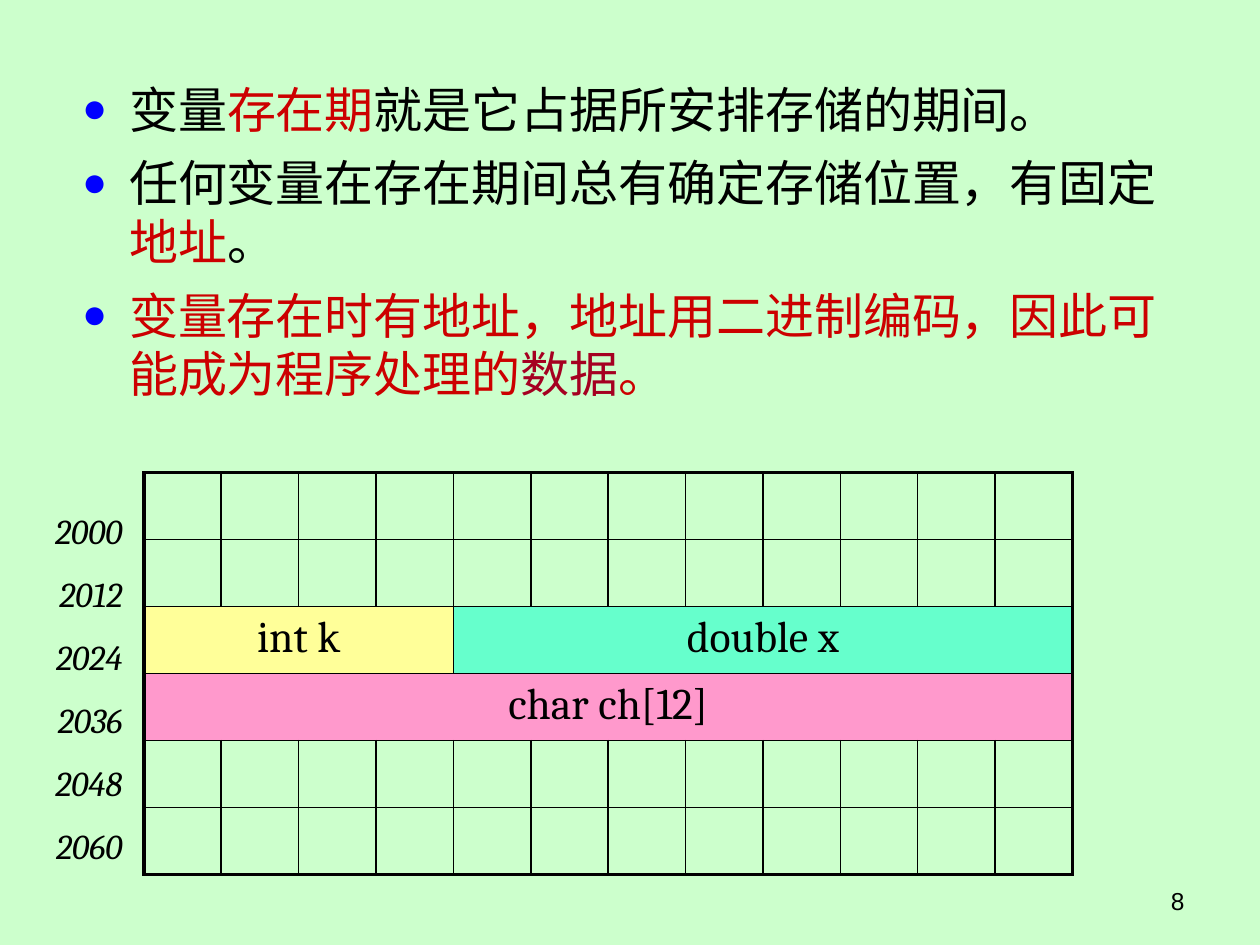
from lxml.etree import SubElement as Sub
from pptx import Presentation
from pptx.dml.color import RGBColor as Rgb
from pptx.enum.text import MSO_AUTO_SIZE as Auto, PP_ALIGN as Align
from pptx.oxml.ns import qn
from pptx.util import Cm, Pt

HUE = {"back": "CCFFCC", "ink": "000000", "red": "CC0000", "wine": "A50021",
       "dot": "0000FF", "int": "FFFF99", "double": "66FFCC", "char": "FF99CC"}
FONT = "Cambria"

POINTS = [
    [("变量", "ink"), ("存在期", "red"), ("就是它占据所安排存储的期间。", "ink")],
    [("任何变量在存在期间总有确定存储位置，有固定", "ink"), ("地址", "red"), ("。", "ink")],
    [("变量存在时有地址，地址用二进制编码，因此可能成为程序处理的", "red"),
     ("数据", "wine"), ("。", "red")],
]
ROWS, COLS = 6, 12
START = 2000
# text, row, first column, bytes, colour
VARS = [("int k", 2, 0, 4, "int"), ("double x", 2, 4, 8, "double"),
        ("char ch[12]", 3, 0, 12, "char")]
PAGE = "8"


def color(key):
    return Rgb.from_string(HUE[key])


def add_run(para, text, size, key="ink", font=FONT, italic=False):
    run = para.add_run()
    run.text = text
    run.font.size, run.font.name = Pt(size), font
    run.font.italic = italic
    run.font.color.rgb = color(key)


def add_box(slide, left, top, width, height):
    frame = slide.shapes.add_textbox(Cm(left), Cm(top), Cm(width), Cm(height)).text_frame
    frame.word_wrap = True
    return frame


def add_para(frame, index):
    return frame.add_paragraph() if index else frame.paragraphs[0]


def add_dot(para):
    """Give a paragraph a hanging indent and a round bullet."""
    props = para._p.get_or_add_pPr()
    props.set("marL", str(Cm(0.95)))
    props.set("indent", str(-Cm(0.95)))
    Sub(Sub(props, qn("a:buClr")), qn("a:srgbClr"), val=HUE["dot"])
    Sub(props, qn("a:buSzPct"), val="85000")
    Sub(props, qn("a:buFont"), typeface="Arial")
    Sub(props, qn("a:buChar"), char="●")


def add_lines(cell, row, col):
    """Draw cell borders, thick on the rim of the table."""
    rim = {"L": col == 0, "R": col == COLS - 1, "T": row == 0, "B": row == ROWS - 1}
    for side, thick in rim.items():
        line = Sub(cell._tc.get_or_add_tcPr(), qn("a:ln" + side),
                   w=str(Pt(2.25 if thick else 1)))
        Sub(Sub(line, qn("a:solidFill")), qn("a:srgbClr"), val=HUE["ink"])


def fill_body(slide):
    body = slide.placeholders[1]
    body.left, body.top, body.width, body.height = Cm(1.4), Cm(1.47), Cm(22.6), Cm(15)
    frame = body.text_frame
    frame.auto_size = Auto.NONE
    for i, parts in enumerate(POINTS):
        para = add_para(frame, i)
        para.space_before = Pt(8.4 if i else 0)
        add_dot(para)
        for text, key in parts:
            add_run(para, text, 28, key)


def add_memory(slide):
    wide, high = Cm(1.56), Cm(1.35)
    table = slide.shapes.add_table(ROWS, COLS, Cm(2.9), Cm(9.53),
                                   wide * COLS, high * ROWS).table
    table.first_row = table.horz_banding = False
    for col in table.columns:
        col.width = wide
    for r, row in enumerate(table.rows):
        row.height = high
        for c, cell in enumerate(row.cells):
            add_lines(cell, r, c)
            cell.fill.background()
    for text, r, c, size, key in VARS:
        cell = table.cell(r, c)
        cell.merge(table.cell(r, c + size - 1))
        for part in range(c, c + size):
            table.cell(r, part).fill.solid()
            table.cell(r, part).fill.fore_color.rgb = color(key)
        if c + size == COLS:
            cell._tc.tcPr.find(qn("a:lnR")).set("w", str(Pt(2.25)))
        para = cell.text_frame.paragraphs[0]
        para.alignment = Align.CENTER
        add_run(para, text, 25)


def add_labels(slide):
    frame = add_box(slide, 0.5, 9.73, 2.22, 7.95)
    for i in range(ROWS):
        para = add_para(frame, i)
        para.alignment, para.line_spacing = Align.RIGHT, 1.5
        add_run(para, str(START + i * COLS), 20, italic=True)


def add_page(slide):
    para = add_box(slide, 18.21, 17.73, 5.92, 0.94).paragraphs[0]
    para.alignment = Align.RIGHT
    add_run(para, PAGE, 14, font="Arial")


def main():
    deck = Presentation()
    deck.slide_width, deck.slide_height = Cm(25.4), Cm(19.05)
    slide = deck.slides.add_slide(deck.slide_layouts[1])
    slide.background.fill.solid()
    slide.background.fill.fore_color.rgb = color("back")
    title = slide.shapes.title._element
    title.getparent().remove(title)
    fill_body(slide)
    add_memory(slide)
    add_labels(slide)
    add_page(slide)
    deck.save("out.pptx")


if __name__ == "__main__":
    main()
